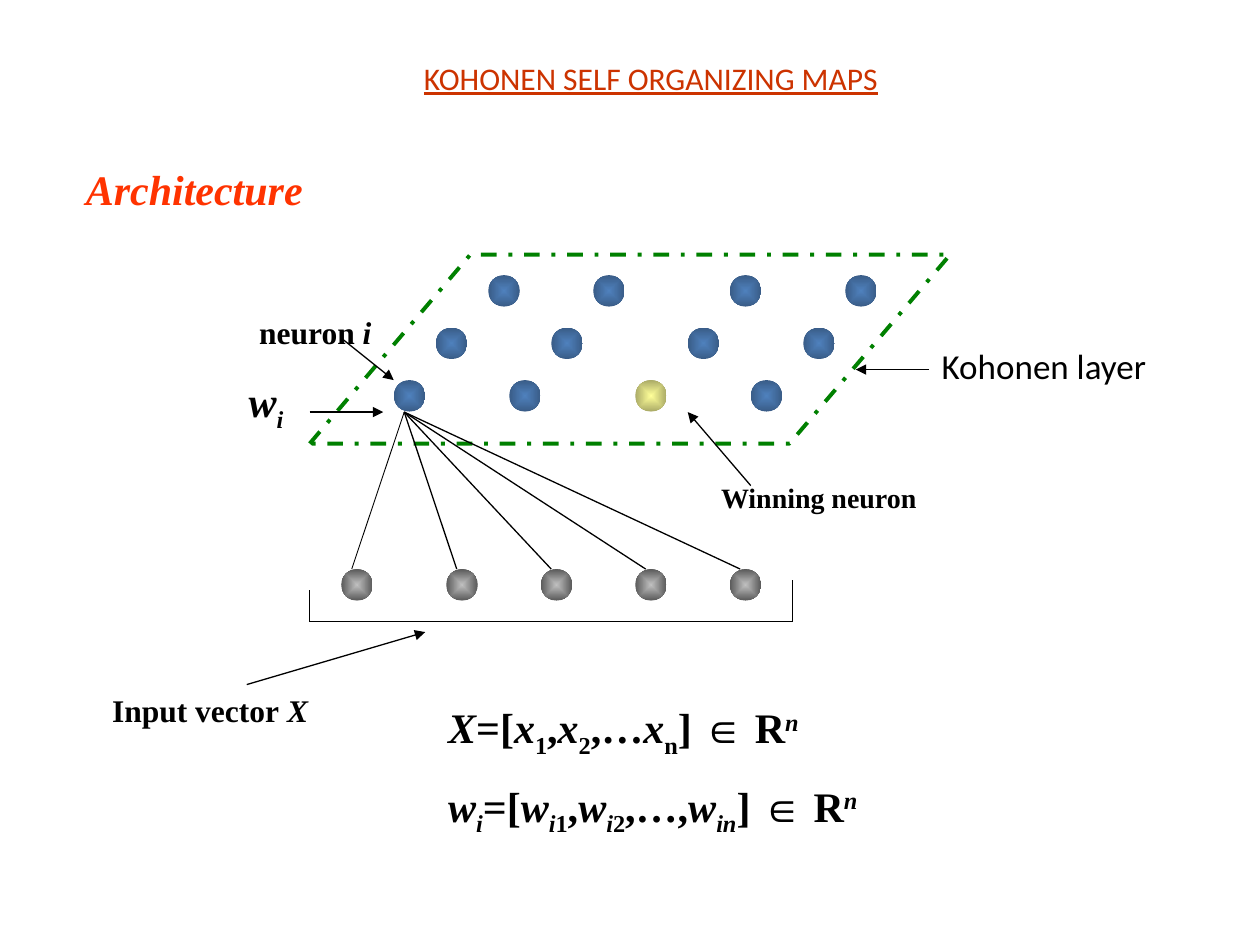
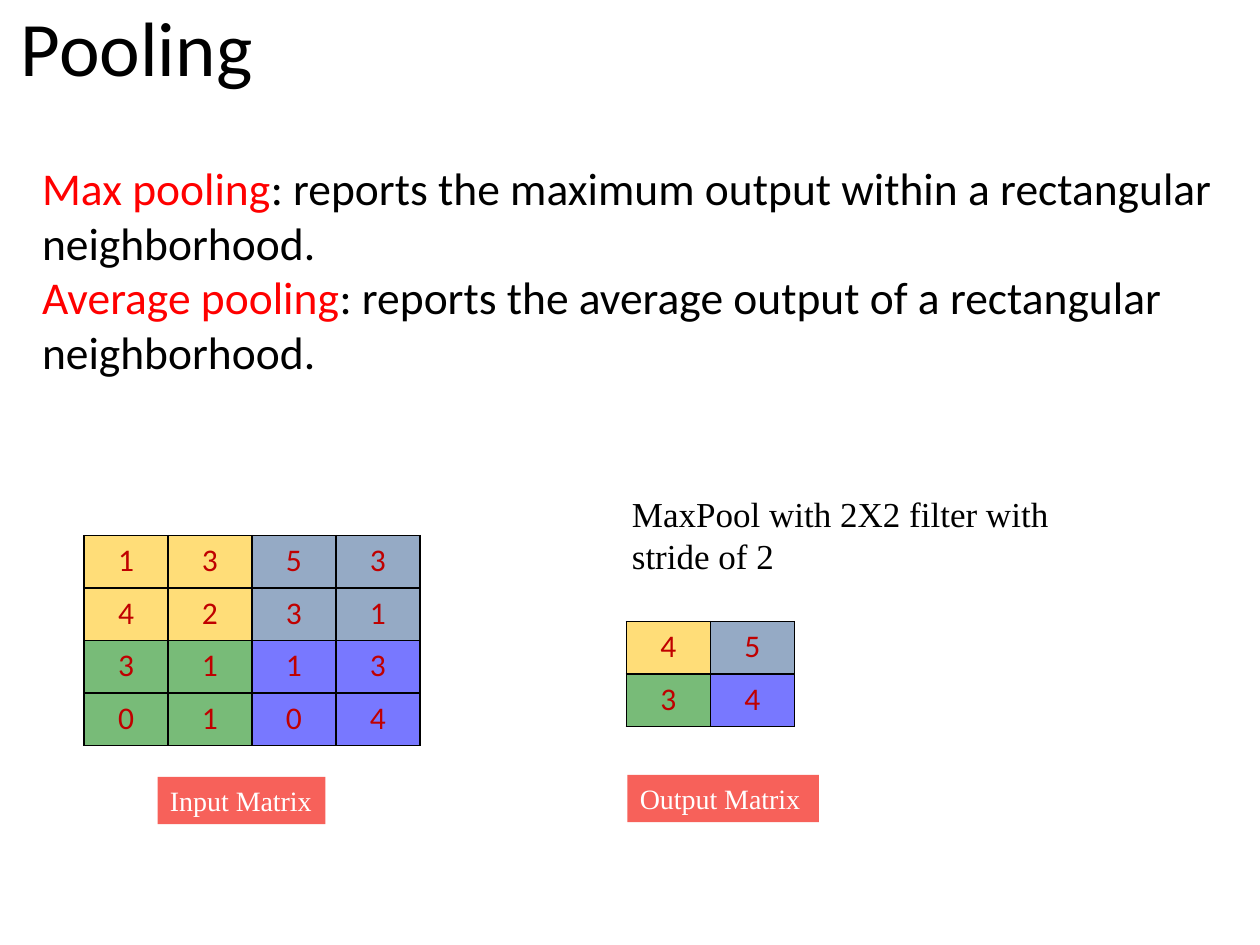
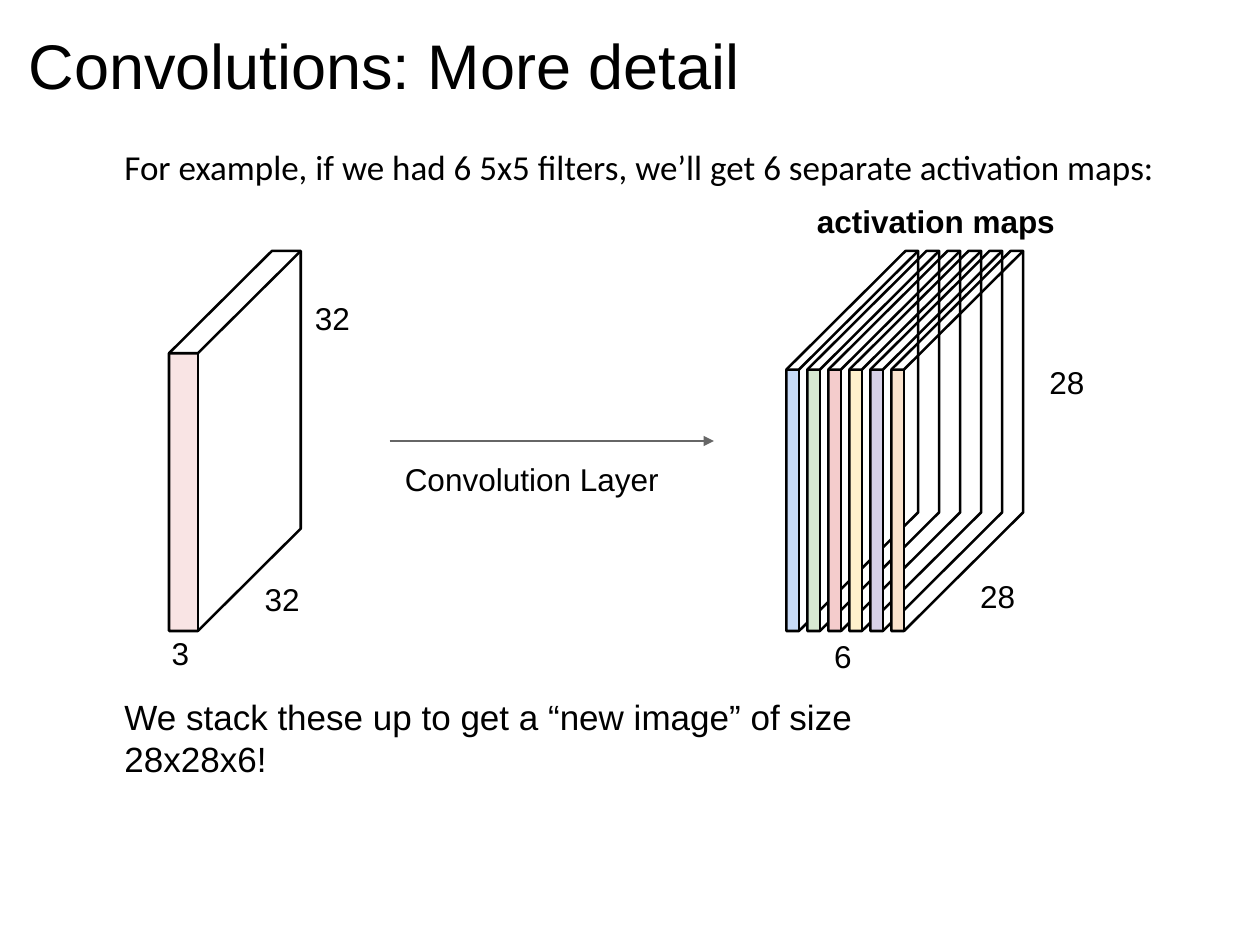
import dataclasses
import lxml.etree
import pptx
import pptx.dml.color
import pptx.enum.dml
import pptx.enum.shapes
import pptx.enum.text
import pptx.oxml
import pptx.oxml.ns
import pptx.util

RGB = pptx.dml.color.RGBColor
ALIGN = pptx.enum.text.PP_ALIGN
SHAPE = pptx.enum.shapes.MSO_SHAPE
BLACK = RGB(0, 0, 0)
WHITE = RGB(255, 255, 255)
RED = RGB(255, 0, 0)
BRICK = RGB(0xCC, 0x33, 0x00)
FLAME = RGB(0xFF, 0x33, 0x00)
CRIMSON = RGB(0xC0, 0x00, 0x00)
CORAL = RGB(0xF7, 0x61, 0x5A)
GREEN = RGB(0x00, 0x80, 0x00)
GREY = RGB(0x66, 0x66, 0x66)
PINK = RGB(0xF4, 0xCC, 0xCC)
BLUSH = RGB(0xF9, 0xE4, 0xE4)
ZONES = [[RGB(0xFF, 0xC0, 0x00), RGB(0x37, 0x60, 0x92)],
         [GREEN, RGB(0x00, 0x00, 0xFF)]]
MAPS = [RGB(0xC7, 0xDA, 0xF7), RGB(0xD7, 0xE9, 0xD2), PINK,
        RGB(0xFF, 0xF1, 0xCC), RGB(0xD7, 0xD1, 0xE8), RGB(0xFA, 0xE3, 0xCD)]
BLUE_BALL = (RGB(0x4F, 0x81, 0xBD), RGB(0x39, 0x5C, 0x87))
GREY_BALL = (RGB(0xC0, 0xC0, 0xC0), RGB(0x59, 0x59, 0x59))
GOLD_BALL = (RGB(0xFF, 0xFF, 0x99), RGB(0xAA, 0xAA, 0x66))

SERIF, SANS, ARIAL = "Times New Roman", "Calibri", "Arial"
WIDE, HIGH = pptx.util.Inches(10), pptx.util.Inches(7.5)
COLS, ROWS = 240, 180
BALL = 6
NS = pptx.oxml.ns.nsdecls("a")


@dataclasses.dataclass
class Box:
    left: float
    top: float
    wide: float
    high: float

    def area(self, col, row, wide, high):
        return Box(self.left + col, self.top + row, wide, high)

    def spot(self, col, row):
        return self.left + col, self.top + row

    def frame(self):
        return *scale(self.left, self.top), *scale(self.wide, self.high)


def scale(col, row):
    return int(WIDE * col / COLS), int(HIGH * row / ROWS)


def write(frame, lines, size, font, color=BLACK, align=ALIGN.LEFT, gap=0,
          inset=(0.1, 0.05, 0.1, 0.05)):
    frame.word_wrap = True
    frame.vertical_anchor = pptx.enum.text.MSO_ANCHOR.TOP
    (frame.margin_left, frame.margin_top,
     frame.margin_right, frame.margin_bottom) = map(pptx.util.Inches, inset)
    for index, line in enumerate(lines):
        para = frame.add_paragraph() if index else frame.paragraphs[0]
        para.alignment = align
        if index:
            para.space_before = pptx.util.Pt(gap)
        for text, flags, *tone in line:
            run = para.add_run()
            run.text = text
            face = run.font
            face.name, face.size = font, pptx.util.Pt(size)
            face.color.rgb = tone[0] if tone else color
            face.bold, face.italic = "b" in flags, "i" in flags
            face.underline = "u" in flags
            for mark, shift in (("-", "-25000"), ("+", "30000")):
                if mark in flags:
                    face._element.set("baseline", shift)


def label(slide, box, lines, size, font, **style):
    if isinstance(lines, str):
        lines = [[(lines, "")]]
    shape = slide.shapes.add_textbox(*box.frame())
    write(shape.text_frame, lines, size, font, **style)


def plain(slide, box, lines, size, font, **style):
    label(slide, box, lines, size, font, inset=(0, 0, 0, 0), **style)


def wire(slide, start, end, arrow=False, width=0.75, color=BLACK):
    line = slide.shapes.add_connector(
        pptx.enum.shapes.MSO_CONNECTOR.STRAIGHT, *scale(*start), *scale(*end))
    line.line.color.rgb = color
    line.line.width = pptx.util.Pt(width)
    if arrow:
        line.line._get_or_add_ln().append(
            pptx.oxml.parse_xml(f'<a:tailEnd {NS} type="triangle"/>'))
    line._element.spPr.append(pptx.oxml.parse_xml(f"<a:effectLst {NS}/>"))


def ball(slide, box, tones):
    shape = slide.shapes.add_shape(SHAPE.OVAL, *box.frame())
    shape.shadow.inherit = False
    shape.line.fill.background()
    stops = "".join(f'<a:gs pos="{pos}"><a:srgbClr val="{tone}"/></a:gs>'
                    for pos, tone in zip((0, 100000), tones))
    shape._element.spPr.find(pptx.oxml.ns.qn("a:prstGeom")).addnext(
        pptx.oxml.parse_xml(
            f'<a:gradFill {NS}><a:gsLst>{stops}</a:gsLst><a:path path="shape">'
            '<a:fillToRect l="50000" t="50000" r="50000" b="50000"/>'
            '</a:path></a:gradFill>'))


def layer(slide, box):
    plane = slide.shapes.add_shape(SHAPE.PARALLELOGRAM, *box.frame())
    plane.adjustments[0] = 0.85
    plane.shadow.inherit = False
    plane.fill.background()
    plane.line.color.rgb = GREEN
    plane.line.width = pptx.util.Pt(2.25)
    plane.line.dash_style = pptx.enum.dml.MSO_LINE.DASH_DOT
    rows = [(34, 54, 80, 102), (24, 46, 72, 94), (16, 38, 62, 84)]
    for row, cols in enumerate(rows):
        for col in cols:
            tones = GOLD_BALL if (row, col) == (2, 62) else BLUE_BALL
            ball(slide, box.area(col, 3.9 + 10 * row, BALL, BALL), tones)


def inputs(slide, box, tip):
    for index, col in enumerate((6, 26, 44, 62, 80)):
        ball(slide, box.area(col, 0, BALL, BALL), GREY_BALL)
        wire(slide, box.spot(col + 2, 0), tip, width=0.75 if index else 0.5)
    left, right = box.spot(0, box.high), box.spot(box.wide, box.high)
    wire(slide, left, right)
    wire(slide, left, box.spot(0, 4))
    wire(slide, right, box.spot(box.wide, 2))


def kohonen(slide, box):
    label(slide, box.area(30, 10, 188, 12),
          [[("KOHONEN SELF ORGANIZING MAPS", "u")]], 18, SANS,
          color=BRICK, align=ALIGN.CENTER)
    label(slide, box.area(14, 30, 216, 12), [[("Architecture", "bi")]], 24,
          SERIF, color=FLAME, align=ALIGN.JUSTIFY)
    layer(slide, box.area(59, 48.5, 122, 36))
    inputs(slide, box.area(59, 108.4, 92, 10), box.spot(77, 78.5))
    for start, end in [((143, 92.5), (131, 78.5)), ((59, 78.5), (73, 78.5)),
                       ((65, 64.4), (75, 72.4)), ((47, 130.4), (81, 120.4)),
                       ((177, 70.4), (163, 70.4))]:
        wire(slide, box.spot(*start), box.spot(*end), arrow=True)
    label(slide, box.area(135, 90.4, 62, 9), [[("Winning neuron", "b")]],
          16, SERIF)
    label(slide, box.area(45, 70.4, 26, 12), [[("w", "bi"), ("i", "bi-")]],
          24, SERIF)
    label(slide, box.area(47, 58.4, 30, 9.6),
          [[("neuron ", "b"), ("i", "bi")]], 18, SERIF)
    label(slide, box.area(19, 130.4, 62, 9.6),
          [[("Input vector", "b"), (" X", "bi")]], 18, SERIF)
    label(slide, box.area(177, 64.4, 50, 10.4), "Kohonen layer", 20, SANS)
    space = [("] ∈ R", "b"), ("n", "bi+")]
    label(slide, box.area(83, 132.5, 96, 26.4), [
        [("X", "bi"), ("=[", "b"), ("x", "bi"), ("1", "b-"), (",", "b"),
         ("x", "bi"), ("2", "b-"), (",…", "b"), ("x", "bi"), ("n", "b-"),
         *space],
        [("w", "bi"), ("i", "bi-"), ("=[", "b"), ("w", "bi"), ("i", "bi-"),
         ("1", "b-"), (",", "b"), ("w", "bi"), ("i", "bi-"), ("2", "b-"),
         (",…,", "b"), ("w", "bi"), ("in", "bi-"), *space],
    ], 24, SERIF, gap=12)


def border(cell):
    props = cell._tc.get_or_add_tcPr()
    for side in "LRTB":
        props.append(pptx.oxml.parse_xml(
            f'<a:ln{side} {NS} w="12700"><a:solidFill>'
            f'<a:srgbClr val="{BLACK}"/></a:solidFill></a:ln{side}>'))


def tint(cell, color):
    cell.fill.solid()
    cell.fill.fore_color.rgb = color
    tone = cell._tc.tcPr.find(pptx.oxml.ns.qn("a:solidFill"))[0]
    lxml.etree.SubElement(tone, pptx.oxml.ns.qn("a:alpha"), val="53000")


def matrix(slide, box, values):
    count = len(values)
    table = slide.shapes.add_table(count, count, *box.frame()).table
    table.first_row = table.horz_banding = False
    for r, row in enumerate(values):
        for c, value in enumerate(row):
            cell = table.cell(r, c)
            border(cell)
            tint(cell, ZONES[2 * r // count][2 * c // count])
            write(cell.text_frame, [[(str(value), "")]], 18, SANS,
                  color=CRIMSON, align=ALIGN.CENTER)


def pool(values):
    pairs = range(0, len(values), 2)
    return [[max(values[r][c:c + 2] + values[r + 1][c:c + 2]) for c in pairs]
            for r in pairs]


def badge(slide, box, text):
    shape = slide.shapes.add_shape(SHAPE.RECTANGLE, *box.frame())
    shape.shadow.inherit = False
    shape.fill.solid()
    shape.fill.fore_color.rgb = CORAL
    shape.line.fill.background()
    write(shape.text_frame, [[(text, "")]], 16, SERIF, color=WHITE,
          inset=(0.1, 0.05, 0, 0.05))


def pooling(slide, box):
    plain(slide, box.area(4, 0, 204, 30), "Pooling", 44, SANS)
    plain(slide, box.area(8, 30.5, 224, 108), [
        [("Max pooling", "", RED),
         (": reports the maximum output within a rectangular neighborhood.",
          "")],
        [("Average pooling", "", RED),
         (": reports the average output of a rectangular neighborhood.", "")],
    ], 26, SANS)
    values = [[1, 3, 5, 3], [4, 2, 3, 1], [3, 1, 1, 3], [0, 1, 0, 4]]
    matrix(slide, box.area(16, 102, 64, 40), values)
    label(slide, box.area(118, 92.6, 90, 18.5),
          "MaxPool with 2X2 filter with stride of 2", 20, SERIF)
    badge(slide, box.area(30, 148, 32, 9), "Input Matrix")
    badge(slide, box.area(119.5, 147.6, 36.5, 9), "Output Matrix")
    matrix(slide, box.area(119.3, 118.4, 32, 20), pool(values))


def trace(slide, lines):
    pen = None
    for spots, close in lines:
        first, *rest = [scale(*spot) for spot in spots]
        if pen is None:
            pen = slide.shapes.build_freeform(*first)
        else:
            pen.move_to(*first)
        pen.add_line_segments(rest, close=close)
    shape = pen.convert_to_shape()
    shape.shadow.inherit = False
    return shape


def slab(slide, box, thick, depth, color):
    low, back = box.high, box.wide - thick
    near = box.spot(0, depth)
    edge = box.spot(thick, depth)
    foot = box.spot(thick, low)
    heel = box.spot(0, low)
    far = box.spot(box.wide, 0)
    face = trace(slide, [([near, edge, foot, heel], True)])
    face.fill.solid()
    face.fill.fore_color.rgb = color
    face.line.fill.background()
    rim = [near, box.spot(back, 0), far, box.spot(box.wide, low - depth),
           foot, heel]
    shell = trace(slide, [(rim, True), ([near, edge, far], False),
                          ([edge, foot], False)])
    shell.fill.background()
    shell.line.color.rgb = BLACK
    shell.line.width = pptx.util.Pt(1.44)


def stack(slide, box):
    for index, color in enumerate(MAPS):
        slab(slide, box.area(4 * index, 0, 25.1, box.high), 2.4, 22.6, color)


def detail(slide, box):
    plain(slide, box.area(5.5, 5, 150, 15), "Convolutions: More detail",
          36, ARIAL)
    plain(slide, box.area(23.7, 27.7, 200, 8.5),
          "For example, if we had 6 5x5 filters, "
          "we’ll get 6 separate activation maps:", 20, SANS)
    slab(slide, box.area(32.2, 47.8, 25.1, 72.4), 5.5, 19.5, BLUSH)
    stack(slide, box.area(149.8, 47.8, 45.1, 72.4))
    wire(slide, box.spot(74.2, 84), box.spot(136, 84), arrow=True,
         width=0.72, color=GREY)
    for text, col, row, wide, flags in [
            ("activation maps", 155.6, 38.5, 50, "b"),
            ("32", 60, 56.9, 10, ""), ("32", 50.4, 110.4, 10, ""),
            ("3", 32.7, 120.7, 6, ""), ("28", 199.9, 69.1, 10, ""),
            ("28", 186.7, 109.9, 10, ""), ("6", 158.9, 121.4, 6, ""),
            ("Convolution Layer", 77.1, 87.6, 55, "")]:
        plain(slide, box.area(col, row, wide, 7), [[(text, flags)]], 18, ARIAL)
    plain(slide, box.area(23.7, 132.4, 167, 16),
          "We stack these up to get a “new image” of size 28x28x6!",
          20, ARIAL)


def main():
    deck = pptx.Presentation()
    deck.slide_width, deck.slide_height = WIDE, HIGH
    for build in (kohonen, pooling, detail):
        slide = deck.slides.add_slide(deck.slide_layouts[6])
        build(slide, Box(0, 0, COLS, ROWS))
    deck.save("out.pptx")


if __name__ == "__main__":
    main()
